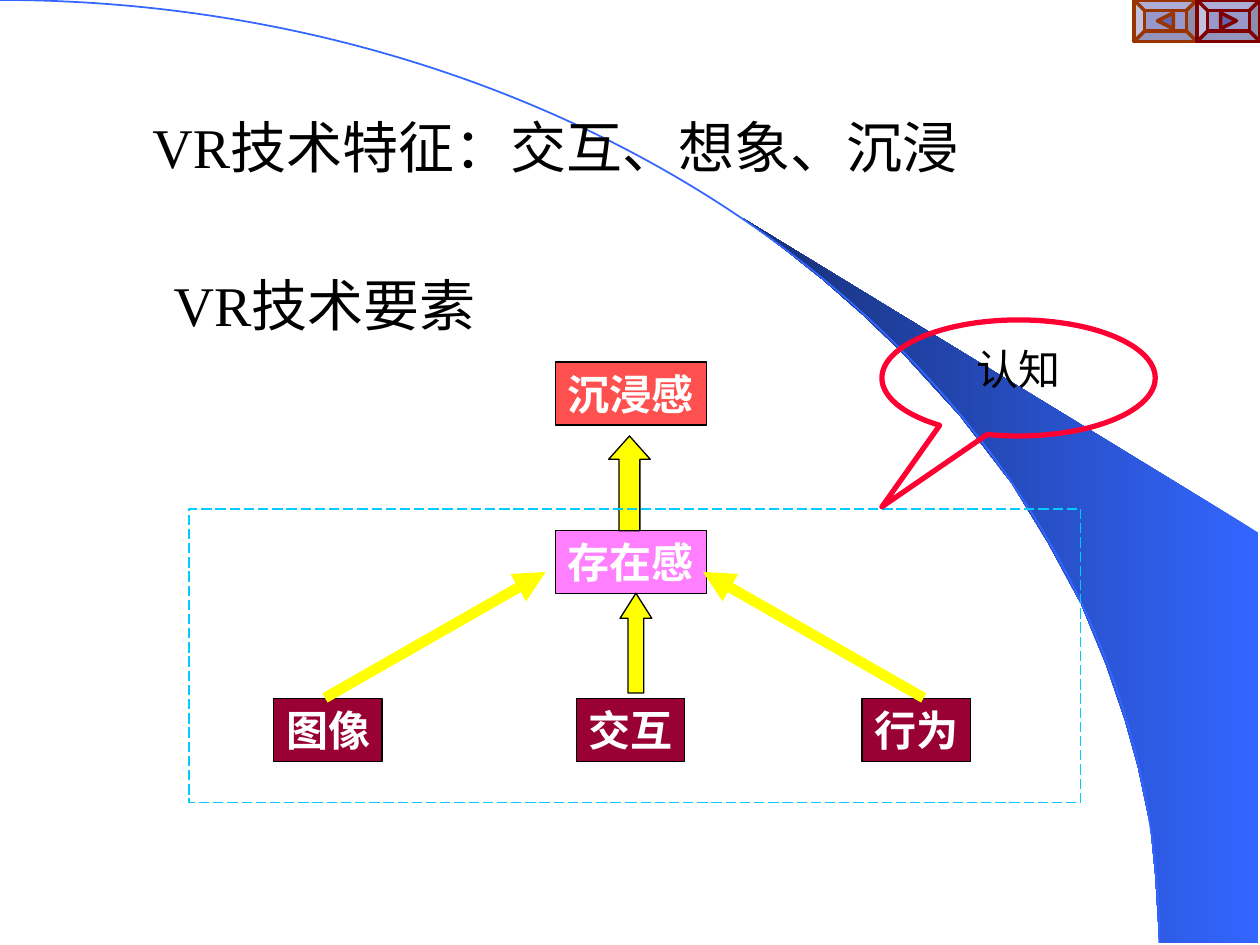
from lxml.etree import SubElement
from pptx import Presentation
from pptx.dml.color import RGBColor
from pptx.enum.dml import MSO_LINE
from pptx.enum.shapes import MSO_CONNECTOR, MSO_SHAPE
from pptx.enum.text import MSO_ANCHOR, MSO_AUTO_SIZE, PP_ALIGN
from pptx.oxml.ns import qn
from pptx.util import Cm, Pt

BLACK = RGBColor(0x00, 0x00, 0x00)
WHITE = RGBColor(0xFF, 0xFF, 0xFF)
BLUE = RGBColor(0x33, 0x66, 0xFF)
NAVY = RGBColor(0x17, 0x2F, 0x75)
CORAL = RGBColor(0xFF, 0x50, 0x50)
MAGENTA = RGBColor(0xFF, 0x00, 0xFF)
WINE = RGBColor(0x99, 0x00, 0x33)
YELLOW = RGBColor(0xFF, 0xFF, 0x00)
CYAN = RGBColor(0x00, 0xCC, 0xFF)
RED = RGBColor(0xFF, 0x00, 0x33)
INDIGO = RGBColor(0x33, 0x33, 0x99)
BROWN = RGBColor(0x99, 0x33, 0x00)
MAROON = RGBColor(0x80, 0x00, 0x00)

FONT = "Times New Roman"
TITLE = ("VR技术特征：交互、想象、沉浸", (2.82, 1.47, 17.04, 2.29))
HEADING = ("VR技术要素", (3.25, 4.65, 6.86, 2.29))
CALLOUT = ("认知", (17.78, 6.45, 5.51, 2.34))
FRAME = (3.81, 10.26, 17.98, 5.92)
ARC = (-23.37, 0, 46.74, 38.02)

# Text, left, top, width, fill, opacity in percent
BOX_HEIGHT = 1.27
BOXES = [
    ("沉浸感", 11.2, 7.3, 3.05, CORAL, 100),
    ("存在感", 11.2, 10.69, 3.05, MAGENTA, 50),
    ("图像", 5.52, 14.08, 2.18, WINE, 100),
    ("交互", 11.62, 14.08, 2.18, WINE, 100),
    ("行为", 17.38, 14.08, 2.18, WINE, 100),
]
# Place, length of the head relative to the width
BLOCK_ARROWS = [((12.5, 11.96, 0.64, 2.01), 0.79), ((12.27, 8.79, 0.84, 1.91), 0.56)]
SLANTED_ARROWS = [(6.55, 14.07, 11, 11.53), (18.62, 14.07, 14.17, 11.53)]
# Rotation of the triangle, line colour
BUTTONS = [(270, BROWN), (90, MAROON)]
BUTTON_WIDTH, BUTTON_HEIGHT = 1.27, 0.84
TRIANGLE_SIZE = 0.32
SLIDE_WIDTH, SLIDE_HEIGHT = 25.4, 19.05
SWOOSH = [
    (23.37, 19), (25.37, 19.02), (25.37, 10.74), (14.96, 4.39), (15.85, 5.05),
    (16.59, 5.64), (17.4, 6.35), (18.19, 7.11), (19.35, 8.38), (20.4, 9.75),
    (21.13, 10.95), (21.79, 12.17), (22.3, 13.41), (22.68, 14.53),
    (22.94, 15.47), (23.19, 16.66), (23.29, 17.68),
]


def lengths(values):
    """Turn centimetres into slide lengths."""
    return [Cm(value) for value in values]


def paint(shape, fill=None, line=None, width=0.75, opacity=100):
    """Set fill, outline and opacity, without a shadow."""
    shape.shadow.inherit = False
    if fill is None:
        shape.fill.background()
    else:
        shape.fill.solid()
        shape.fill.fore_color.rgb = fill
        if opacity < 100:
            color = shape.fill._xPr.find(qn("a:solidFill"))[0]
            SubElement(color, qn("a:alpha"), val=str(opacity * 1000))
    if line is None:
        shape.line.fill.background()
    else:
        shape.line.color.rgb = line
        shape.line.width = Pt(width)


def add_painted(kind, place, **look):
    """Add a preset shape with its colours."""
    shape = shapes.add_shape(kind, *lengths(place))
    paint(shape, **look)
    return shape


def write(shape, text, size, color, bold=False, align=PP_ALIGN.LEFT, spacing=1):
    """Fill a shape with one formatted paragraph."""
    frame = shape.text_frame
    frame.text = text
    frame.word_wrap = True
    frame.auto_size = MSO_AUTO_SIZE.NONE
    frame.vertical_anchor = MSO_ANCHOR.TOP
    if align == PP_ALIGN.LEFT:
        frame.margin_right = 0  # keeps tight labels on one line
    paragraph = frame.paragraphs[0]
    paragraph.alignment = align
    paragraph.line_spacing = spacing
    font = paragraph.font
    font.name, font.size, font.bold = FONT, Pt(size), bold
    font.color.rgb = color


def add_swoosh():
    """Draw the gradient wedge and the arc along its edge."""
    start, *rest = [lengths(point) for point in SWOOSH]
    builder = shapes.build_freeform(*start)
    builder.add_line_segments(rest, close=True)
    wedge = builder.convert_to_shape()
    paint(wedge)
    wedge.fill.gradient()
    wedge.fill.gradient_angle = 180
    for stop, color in zip(wedge.fill.gradient_stops, (BLUE, NAVY)):
        stop.color.rgb = color
    add_painted(MSO_SHAPE.ARC, ARC, line=BLUE, width=1)


def add_slanted_arrow(ends):
    """Add a thick yellow line with an arrowhead."""
    arrow = shapes.add_connector(MSO_CONNECTOR.STRAIGHT, *lengths(ends))
    arrow.line.color.rgb = YELLOW
    arrow.line.width = Pt(6)
    SubElement(arrow.line._get_or_add_ln(), qn("a:tailEnd"), type="triangle")
    SubElement(arrow._element.spPr, qn("a:effectLst"))


def add_button(left, rotation, line):
    """Add a bevelled button with a triangle in its middle."""
    look = dict(fill=INDIGO, line=line, width=2, opacity=50)
    bevel = add_painted(MSO_SHAPE.BEVEL, (left, 0, BUTTON_WIDTH, BUTTON_HEIGHT), **look)
    bevel.adjustments[0] = 0.25
    triangle = add_painted(
        MSO_SHAPE.ISOSCELES_TRIANGLE,
        (left + (BUTTON_WIDTH - TRIANGLE_SIZE) / 2, (BUTTON_HEIGHT - TRIANGLE_SIZE) / 2,
         TRIANGLE_SIZE, TRIANGLE_SIZE), **look)
    triangle.rotation = rotation


presentation = Presentation()
presentation.slide_width, presentation.slide_height = lengths((SLIDE_WIDTH, SLIDE_HEIGHT))
slide = presentation.slides.add_slide(presentation.slide_layouts[5])
shapes = slide.shapes

add_swoosh()

title = shapes.title
text, place = TITLE
title.left, title.top, title.width, title.height = lengths(place)
write(title, text, 32, BLACK, spacing=1.5)
shapes._spTree.append(title._element)  # in front of the arc

for text, left, top, width, fill, opacity in BOXES:
    box = add_painted(MSO_SHAPE.RECTANGLE, (left, top, width, BOX_HEIGHT),
                      fill=fill, line=BLACK, opacity=opacity)
    write(box, text, 24, WHITE, bold=True)

for place, head in BLOCK_ARROWS:
    arrow = add_painted(MSO_SHAPE.UP_ARROW, place, fill=YELLOW, line=BLACK)
    arrow.adjustments[1] = head

for ends in SLANTED_ARROWS:
    add_slanted_arrow(ends)

frame = add_painted(MSO_SHAPE.RECTANGLE, FRAME, line=CYAN)
frame.line.dash_style = MSO_LINE.LONG_DASH

text, place = CALLOUT
callout = add_painted(MSO_SHAPE.OVAL_CALLOUT, place, line=RED, width=3)
callout.adjustments[0], callout.adjustments[1] = -0.5, 1.11
write(callout, text, 24, BLACK, align=PP_ALIGN.CENTER)

for index, (rotation, line) in enumerate(BUTTONS):
    add_button(SLIDE_WIDTH - (len(BUTTONS) - index) * BUTTON_WIDTH, rotation, line)

text, place = HEADING
write(shapes.add_textbox(*lengths(place)), text, 32, BLACK, spacing=1.5)

presentation.save("out.pptx")
